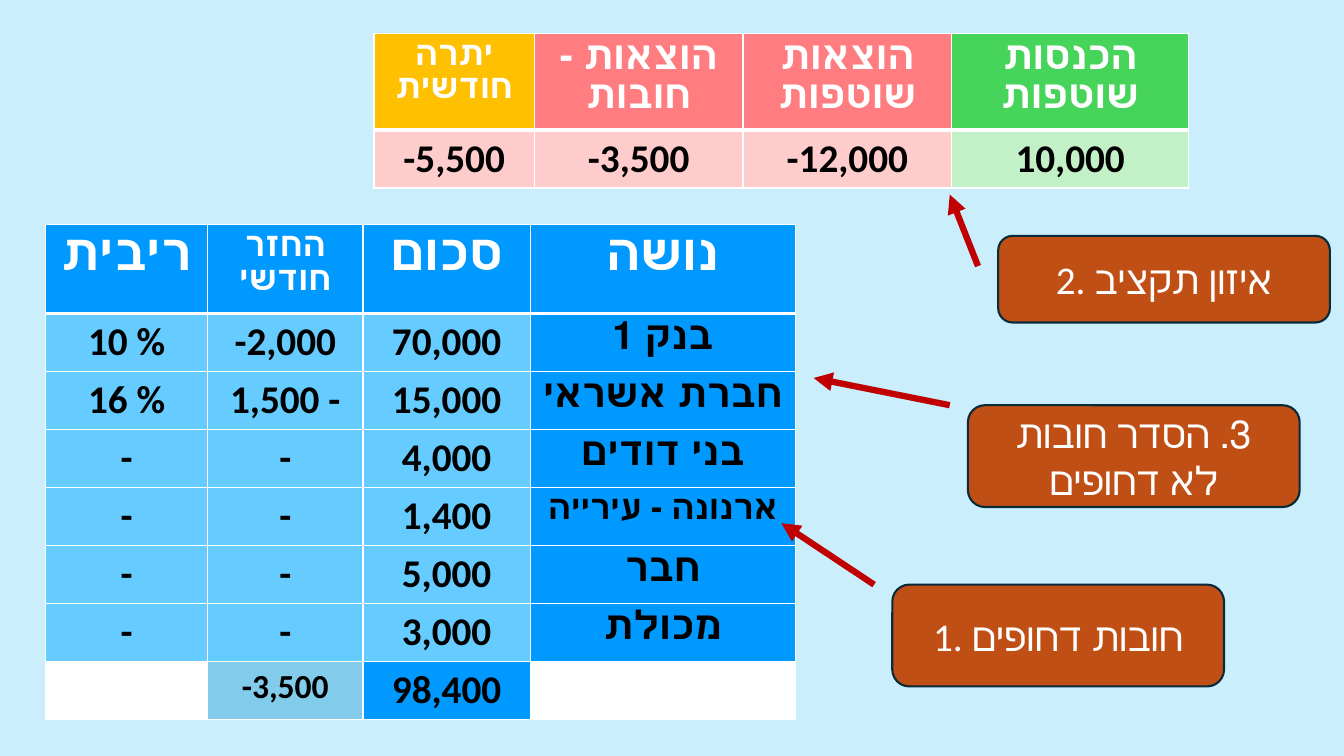
from lxml.etree import SubElement
from pptx import Presentation
from pptx.dml.color import RGBColor
from pptx.enum.shapes import MSO_CONNECTOR as Connector, MSO_SHAPE as Shape
from pptx.enum.text import MSO_ANCHOR as Anchor, PP_ALIGN as Align
from pptx.oxml.ns import qn
from pptx.util import Inches, Pt

FONT = "Calibri"
WHITE, BLACK = "FFFFFF", "000000"
BLUE, LIGHT_BLUE, TOTAL_BLUE = "0099FF", "66CCFF", "83CBEB"
RED, LIGHT_RED, GREEN, LIGHT_GREEN, GOLD = "FF7C80", "FFCCCC", "47D45A", "C2F1C8", "FFC000"
ARROW_RED, RUST, NAVY = "C00000", "C04F15", "092A39"

# Each cell is (text, size, fill)
BUDGET = [
    [("יתרה חודשית", 24, GOLD), ("הוצאות -חובות", 28, RED),
     ("הוצאות\nשוטפות", 28, RED), ("הכנסות\nשוטפות", 28, GREEN)],
    [("-5,500", 28, LIGHT_RED), ("-3,500", 28, LIGHT_RED),
     ("-12,000", 28, LIGHT_RED), ("10,000", 28, LIGHT_GREEN)],
]

# Interest, monthly payment, amount, creditor, creditor text size
DEBTS = [
    ("10 %", "-2,000", "70,000", "בנק 1", 28),
    ("16 %", "1,500 -", "15,000", "חברת אשראי", 28),
    ("-", "-", "4,000", "בני דודים", 28),
    ("-", "-", "1,400", "ארנונה - עירייה", 24),
    ("-", "-", "5,000", "חבר", 28),
    ("-", "-", "3,000", "מכולת", 28),
]
DEBT_HEADER = [("ריבית", 36, BLUE), ("החזר חודשי", 24, BLUE),
               ("סכום", 36, BLUE), ("נושה", 36, BLUE)]
DEBT_TOTALS = [("", 28, WHITE), ("-3,500", 24, TOTAL_BLUE),
               ("98,400", 28, BLUE), ("", 28, WHITE)]

# Left, top, height, text, right-to-left first line
STEPS = [
    (8.85, 5.8, 1.01, "1. חובות דחופים", False),
    (9.9, 2.34, 0.86, "2. איזון תקציב", False),
    (9.6, 4.02, 1.01, "3. הסדר חובות\nלא דחופים", True),
]
ARROWS = [
    ((8.67, 5.8), (7.75, 5.19)),
    ((9.7, 2.64), (9.42, 1.93)),
    ((9.42, 4.02), (8.07, 3.75)),
]


def color(value):
    return RGBColor.from_string(value)


def write_text(frame, text, size, text_color, bold):
    frame.text = text
    for para in frame.paragraphs:
        para.alignment = Align.CENTER
        para.font.name = FONT
        para.font.size = Pt(size)
        para.font.bold = bold
        para.font.color.rgb = color(text_color)


def add_border(cell, side, points):
    line = SubElement(cell._tc.get_or_add_tcPr(), qn(f"a:ln{side}"), w=str(Pt(points)))
    fill = SubElement(line, qn("a:solidFill"))
    SubElement(fill, qn("a:srgbClr"), val=WHITE)


def add_grid(page, left, top, widths, heights, rows):
    frame = page.shapes.add_table(len(rows), len(widths), Inches(left), Inches(top),
                                  Inches(sum(widths)), Inches(sum(heights)))
    table = frame.table
    table.first_row = table.horz_banding = False
    for column, width in zip(table.columns, widths):
        column.width = Inches(width)
    for index, (row, height) in enumerate(zip(rows, heights)):
        table.rows[index].height = Inches(height)
        for position, (text, size, fill) in enumerate(row):
            cell = table.cell(index, position)
            write_text(cell.text_frame, text, size, BLACK if index else WHITE, True)
            # A thick rule separates the header from the body
            for side in "LRTB":
                thick = (index, side) in ((0, "B"), (1, "T"))
                add_border(cell, side, 3 if thick else 1)
            cell.fill.solid()
            cell.fill.fore_color.rgb = color(fill)


def add_step(page, left, top, height, text, right_to_left):
    box = page.shapes.add_shape(Shape.ROUNDED_RECTANGLE, Inches(left), Inches(top),
                                Inches(3.29), Inches(height))
    box.shadow.inherit = False
    box.fill.solid()
    box.fill.fore_color.rgb = color(RUST)
    box.line.color.rgb = color(NAVY)
    box.line.width = Pt(1.5)
    box.text_frame.word_wrap = True
    box.text_frame.vertical_anchor = Anchor.MIDDLE
    write_text(box.text_frame, text, 28, WHITE, False)
    if right_to_left:
        box.text_frame.paragraphs[0]._p.get_or_add_pPr().set("rtl", "1")


def add_arrow(page, start, end):
    arrow = page.shapes.add_connector(Connector.STRAIGHT, *map(Inches, start + end))
    arrow.line.color.rgb = color(ARROW_RED)
    arrow.line.width = Pt(4.5)
    SubElement(arrow.line._get_or_add_ln(), qn("a:tailEnd"), type="triangle")
    SubElement(arrow._element.spPr, qn("a:effectLst"))


def main():
    deck = Presentation()
    deck.slide_width, deck.slide_height = Inches(13.33), Inches(7.5)
    page = deck.slides.add_slide(deck.slide_layouts[6])
    page.background.fill.solid()
    page.background.fill.fore_color.rgb = color("CAEEFB")

    # Monthly budget
    add_grid(page, 3.71, 0.33, [1.59, 2.07, 2.07, 2.35], [0.96, 0.57], BUDGET)

    # Debts by creditor
    debt_rows = [
        [(rate, 28, LIGHT_BLUE), (payment, 28, LIGHT_BLUE),
         (amount, 28, LIGHT_BLUE), (creditor, size, BLUE)]
        for rate, payment, amount, creditor, size in DEBTS
    ]
    add_grid(page, 0.45, 2.23, [1.61, 1.54, 1.66, 2.63], [0.88] + [0.55] * 7,
             [DEBT_HEADER, *debt_rows, DEBT_TOTALS])

    # Steps and the arrows to what they act on
    for arrow, step in zip(ARROWS, STEPS):
        add_arrow(page, *arrow)
        add_step(page, *step)

    deck.save("out.pptx")


if __name__ == "__main__":
    main()
